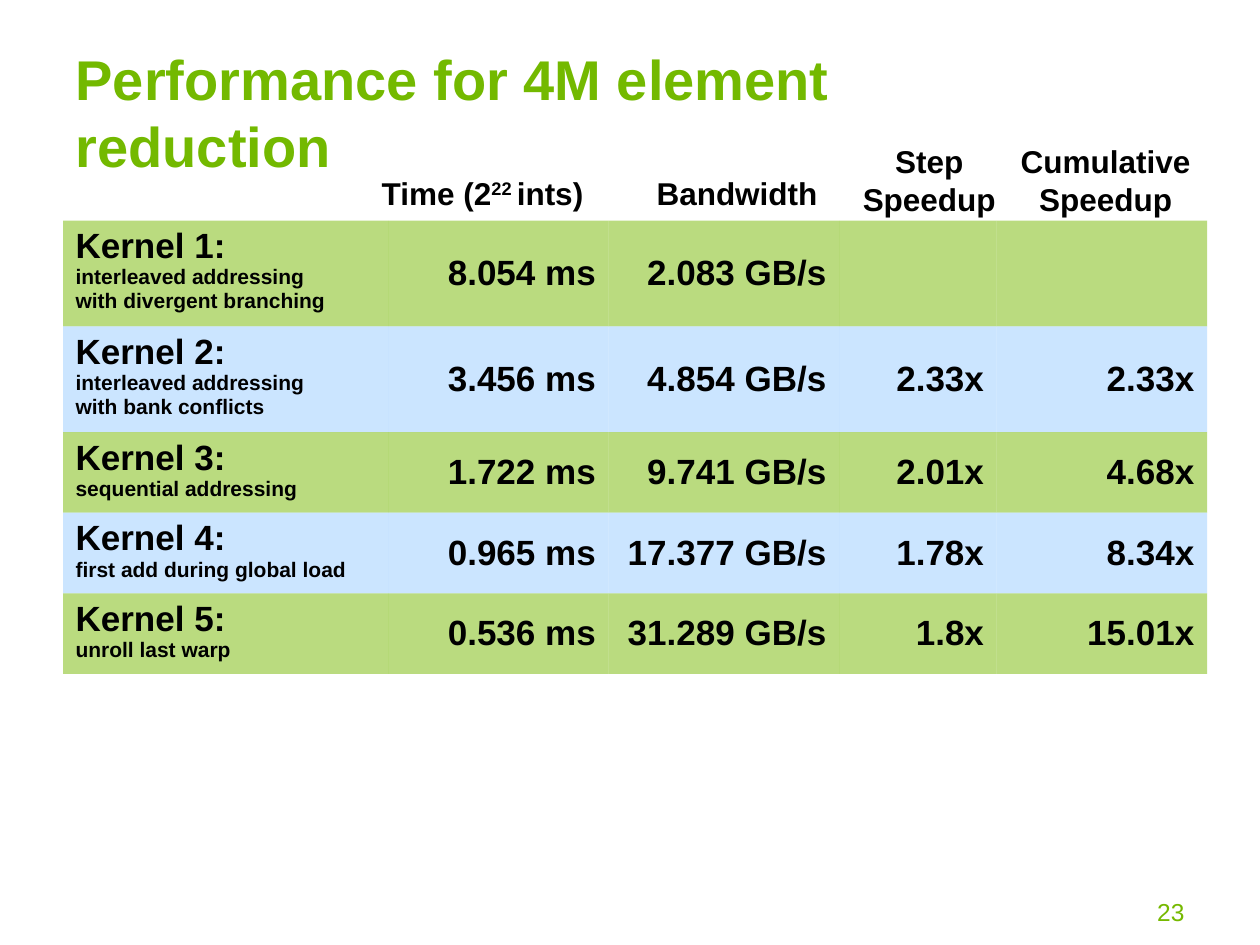
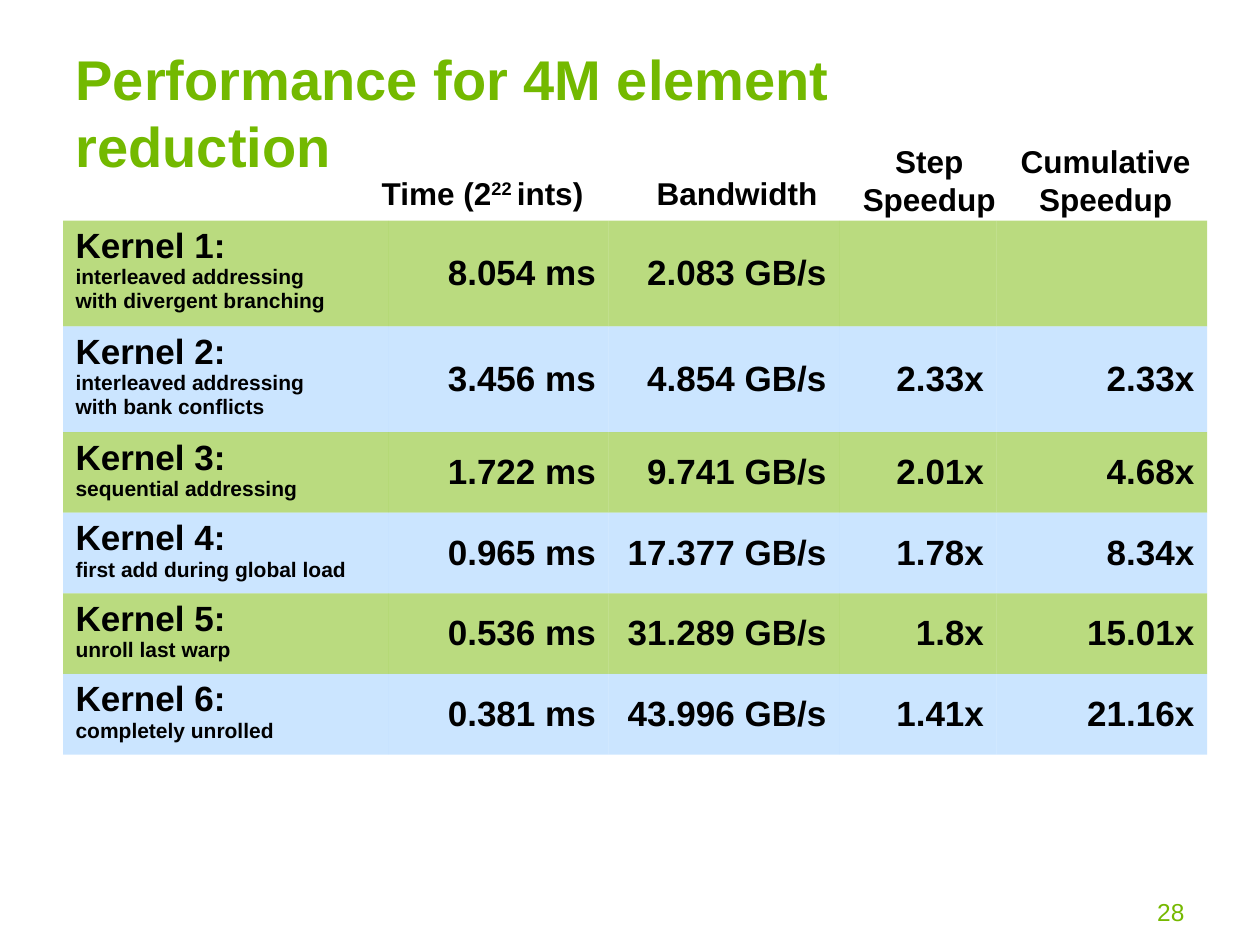
import pptx
import pptx.util
import pptx.dml.color
import pptx.enum.text
import pptx.oxml
from pptx.oxml import ns

Inches, Pt = pptx.util.Inches, pptx.util.Pt
ALIGN = pptx.enum.text.PP_ALIGN
ANCHOR = pptx.enum.text.MSO_ANCHOR
AUTO_SIZE = pptx.enum.text.MSO_AUTO_SIZE
COLORS = {"title": "73B900", "green": "76B900", "blue": "99CCFF", "text": "000000"}
TITLE_FORMAT = {"size": Pt(32), "bold": True, "name": "Arial"}
HEADING_FORMAT = {"size": Pt(18), "bold": True, "name": "Arial"}
VALUE_FORMAT = {"size": Pt(20), "bold": True, "name": "Arial"}
DETAIL_FORMAT = {"size": Pt(12), "bold": True, "name": "Arial"}
NUMBER_FORMAT = {"size": Pt(14), "bold": False, "name": "Arial"}

COLUMN_WIDTHS = [2.58, 1.75, 1.83, 1.25, 1.67]
KERNELS = [
    ("Kernel 1:", "interleaved addressing\vwith divergent branching",
     "8.054 ms", "2.083 GB/s", "", ""),
    ("Kernel 2:", "interleaved addressing\vwith bank conflicts",
     "3.456 ms", "4.854 GB/s", "2.33x", "2.33x"),
    ("Kernel 3:", "sequential addressing", "1.722 ms", "9.741 GB/s", "2.01x", "4.68x"),
    ("Kernel 4:", "first add during global load", "0.965 ms", "17.377 GB/s", "1.78x", "8.34x"),
    ("Kernel 5:", "unroll last warp", "0.536 ms", "31.289 GB/s", "1.8x", "15.01x"),
    ("Kernel 6:", "completely unrolled", "0.381 ms", "43.996 GB/s", "1.41x", "21.16x"),
]
# Each heading: left, top, width, height, then (text, baseline) pairs
HEADINGS = [
    (6.74, 1.08, 1.27, 0.7, [("Step\vSpeedup", 0)]),
    (5.11, 1.33, 1.48, 0.4, [("Bandwidth", 0)]),
    (2.93, 1.33, 1.8, 0.4, [("Time (2", 0), ("22 ", 30000), ("ints)", 0)]),
    (8, 1.08, 1.55, 0.7, [("Cumulative\vSpeedup", 0)]),
]
SLIDES = [("23", 5), ("28", 6)]  # slide number, kernels shown


def add_text(p, text, color, font_format):
    """Append text to p, turning each vertical tab into a line break."""
    for i, line in enumerate(text.split("\v")):
        if i:
            p.add_line_break()
        r = p.add_run()
        r.text = line
        for name, value in font_format.items():
            setattr(r.font, name, value)
        r.font.color.rgb = pptx.dml.color.RGBColor.from_string(COLORS[color])
    return r


def add_box(s, left, top, width, height, align, wrap, auto_size):
    """Add a text box and return its first paragraph."""
    tf = s.shapes.add_textbox(Inches(left), Inches(top), Inches(width), Inches(height)).text_frame
    tf.word_wrap = wrap
    tf.auto_size = auto_size
    tf.paragraphs[0].alignment = align
    return tf.paragraphs[0]


prs = pptx.Presentation()
prs.slide_width, prs.slide_height = Inches(10), Inches(7.5)

for number, kernel_count in SLIDES:
    s = prs.slides.add_slide(prs.slide_layouts[5])
    p = add_box(s, 7.17, 7.07, 2.33, 0.35, ALIGN.RIGHT, True, AUTO_SIZE.NONE)
    add_text(p, number, "green", NUMBER_FORMAT)

    title = s.shapes.title
    title.left, title.top = Inches(0.5), Inches(0.3)
    title.width, title.height = Inches(8.33), Inches(1.17)
    tf = title.text_frame
    tf.vertical_anchor = ANCHOR.MIDDLE
    tf.auto_size = AUTO_SIZE.NONE
    p = tf.paragraphs[0]
    p.alignment = ALIGN.LEFT
    add_text(p, "Performance for 4M element reduction", "title", TITLE_FORMAT)

    kernels = KERNELS[:kernel_count]
    row_heights = [0.84 if "\v" in kernel[1] else 0.64 for kernel in kernels]
    table = s.shapes.add_table(
        kernel_count, len(COLUMN_WIDTHS), Inches(0.5), Inches(1.75),
        Inches(sum(COLUMN_WIDTHS)), Inches(sum(row_heights))).table
    table.first_row = table.horz_banding = False
    for column, width in zip(table.columns, COLUMN_WIDTHS):
        column.width = Inches(width)
    for i, (name, detail, *values) in enumerate(kernels):
        table.rows[i].height = Inches(row_heights[i])
        for cell in table.rows[i].cells:
            cell.fill.solid()
            band = COLORS["blue" if i % 2 else "green"]
            cell.fill.fore_color.rgb = pptx.dml.color.RGBColor.from_string(band)
            color = cell._tc.tcPr.find(".//" + ns.qn("a:srgbClr"))
            color.append(pptx.oxml.parse_xml(f'<a:alpha {ns.nsdecls("a")} val="50000"/>'))
            # No borders, whatever the table style draws
            for j, side in enumerate(("lnL", "lnR", "lnT", "lnB")):
                cell._tc.tcPr.insert(j, pptx.oxml.parse_xml(
                    f'<a:{side} {ns.nsdecls("a")} w="0"><a:noFill/></a:{side}>'))
        p = table.cell(i, 0).text_frame.paragraphs[0]
        add_text(p, name, "text", VALUE_FORMAT)
        p.add_line_break()
        add_text(p, detail, "text", DETAIL_FORMAT)
        for j, value in enumerate(values, start=1):
            cell = table.cell(i, j)
            cell.vertical_anchor = ANCHOR.MIDDLE
            if value:
                p = cell.text_frame.paragraphs[0]
                p.alignment = ALIGN.RIGHT
                add_text(p, value, "text", VALUE_FORMAT)

    for left, top, width, height, parts in HEADINGS:
        p = add_box(s, left, top, width, height, ALIGN.CENTER, False,
                    AUTO_SIZE.SHAPE_TO_FIT_TEXT)
        for text, baseline in parts:
            r = add_text(p, text, "text", HEADING_FORMAT)
            if baseline:
                r.font._element.set("baseline", str(baseline))

prs.save("out.pptx")
